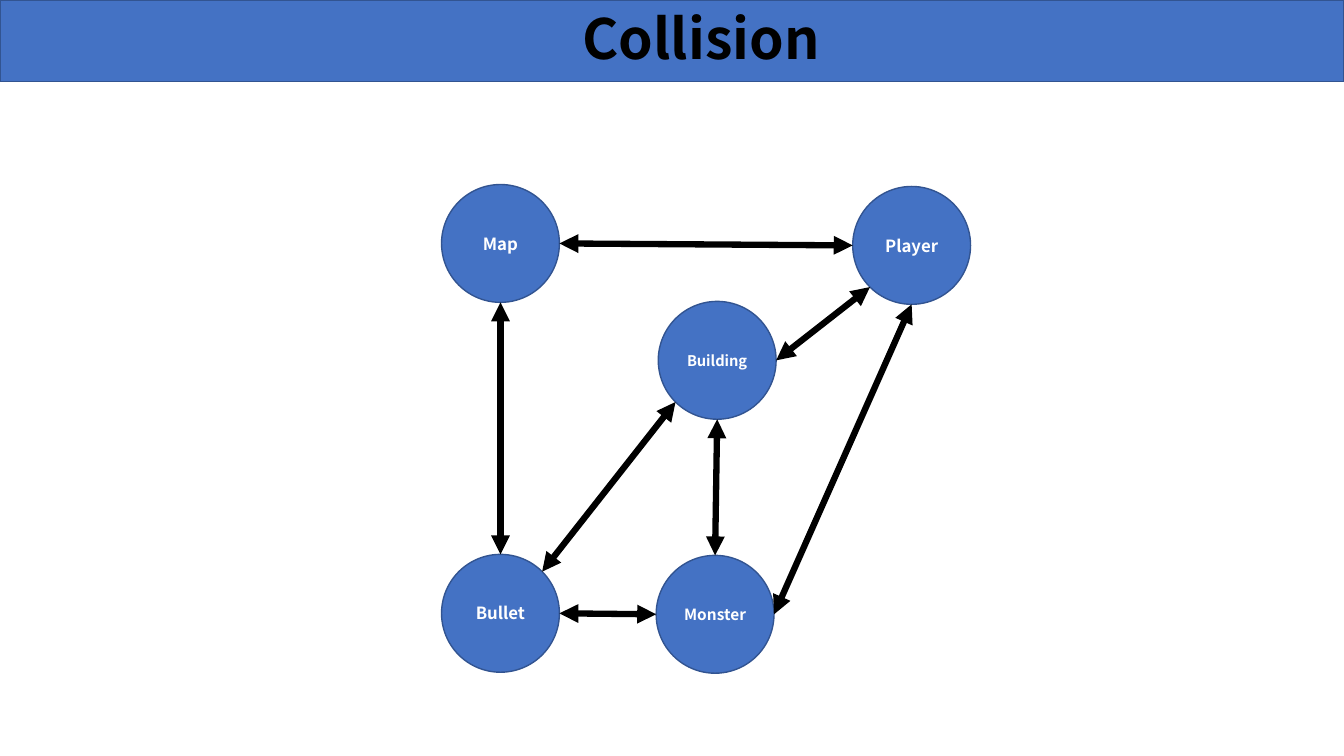
from math import cos, radians, sin

from lxml import etree
from pptx import Presentation
from pptx.dml.color import RGBColor
from pptx.enum.shapes import MSO_CONNECTOR, MSO_SHAPE
from pptx.enum.text import MSO_ANCHOR, PP_ALIGN
from pptx.oxml.ns import qn
from pptx.util import Pt

STRAIGHT = MSO_CONNECTOR.STRAIGHT
OVAL = MSO_SHAPE.OVAL
RECTANGLE = MSO_SHAPE.RECTANGLE
MIDDLE = MSO_ANCHOR.MIDDLE
CENTER = PP_ALIGN.CENTER

BLUE = RGBColor(0x44, 0x72, 0xC4)
OUTLINE = RGBColor(0x32, 0x54, 0x91)
BLACK = RGBColor(0x00, 0x00, 0x00)
WHITE = RGBColor(0xFF, 0xFF, 0xFF)
FONT = "Noto Sans CJK KR"

SLIDE_WIDTH = 960
SLIDE_HEIGHT = 540
DIAMETER = 84.2

ANGLES = {
    "right": 0, "bottom right": 45, "bottom": 90, "bottom left": 135,
    "left": 180, "top": 270, "top right": 315,
}

NODES = {
    "Bullet": (315.4, 396, 12),
    "Map": (315.4, 131.8, 12),
    "Monster": (468.7, 396.7, 11),
    "Building": (470.2, 215.3, 10.5),
    "Player": (609.1, 133.2, 12),
}

COLLISIONS = [
    ("Bullet", "top", "Map", "bottom"),
    ("Bullet", "right", "Monster", "left"),
    ("Monster", "top", "Building", "bottom"),
    ("Bullet", "top right", "Building", "bottom left"),
    ("Map", "right", "Player", "left"),
    ("Monster", "right", "Player", "bottom"),
    ("Building", "right", "Player", "bottom left"),
]


def write_text(shape, text, size, color, line_spacing=1.0):
    frame = shape.text_frame
    frame.word_wrap = True
    frame.vertical_anchor = MIDDLE
    paragraph = frame.paragraphs[0]
    paragraph.alignment = CENTER
    paragraph.line_spacing = line_spacing
    run = paragraph.add_run()
    run.text = text
    font_format = {"name": FONT, "size": Pt(size), "bold": True}
    for attribute, value in font_format.items():
        setattr(run.font, attribute, value)
    run.font.color.rgb = color


def add_blue_shape(slide, kind, left, top, width, height):
    shape = slide.shapes.add_shape(kind, Pt(left), Pt(top), Pt(width), Pt(height))
    shape.shadow.inherit = False
    shape.fill.solid()
    shape.fill.fore_color.rgb = BLUE
    shape.line.color.rgb = OUTLINE
    shape.line.width = Pt(1)
    return shape


def add_title(slide, text):
    add_blue_shape(slide, RECTANGLE, 0, 0, SLIDE_WIDTH, 58.3)
    title = slide.shapes.add_textbox(Pt(66.2), Pt(5.8), Pt(869), Pt(47.5))
    write_text(title, text, 39.6, BLACK, 0.9)


def add_node(slide, name, left, top, size):
    circle = add_blue_shape(slide, OVAL, left, top, DIAMETER, DIAMETER)
    write_text(circle, name, size, WHITE)


def rim_point(name, side):
    left, top, _ = NODES[name]
    radius = DIAMETER / 2
    angle = radians(ANGLES[side])
    return Pt(left + radius * (1 + cos(angle))), Pt(top + radius * (1 + sin(angle)))


def add_double_arrow(slide, start_name, start_side, end_name, end_side):
    start = rim_point(start_name, start_side)
    end = rim_point(end_name, end_side)
    connector = slide.shapes.add_connector(STRAIGHT, *start, *end)
    connector.line.color.rgb = BLACK
    connector.line.width = Pt(4.5)
    properties = connector._element.spPr
    line = properties.find(qn("a:ln"))
    for tag in ("a:headEnd", "a:tailEnd"):
        etree.SubElement(line, qn(tag), type="triangle")
    etree.SubElement(properties, qn("a:effectLst"))


def main():
    presentation = Presentation()
    presentation.slide_width = Pt(SLIDE_WIDTH)
    presentation.slide_height = Pt(SLIDE_HEIGHT)
    slide = presentation.slides.add_slide(presentation.slide_layouts[6])
    add_title(slide, "Collision")
    for name, (left, top, size) in NODES.items():
        add_node(slide, name, left, top, size)
    for collision in COLLISIONS:
        add_double_arrow(slide, *collision)
    presentation.save("out.pptx")


if __name__ == "__main__":
    main()
